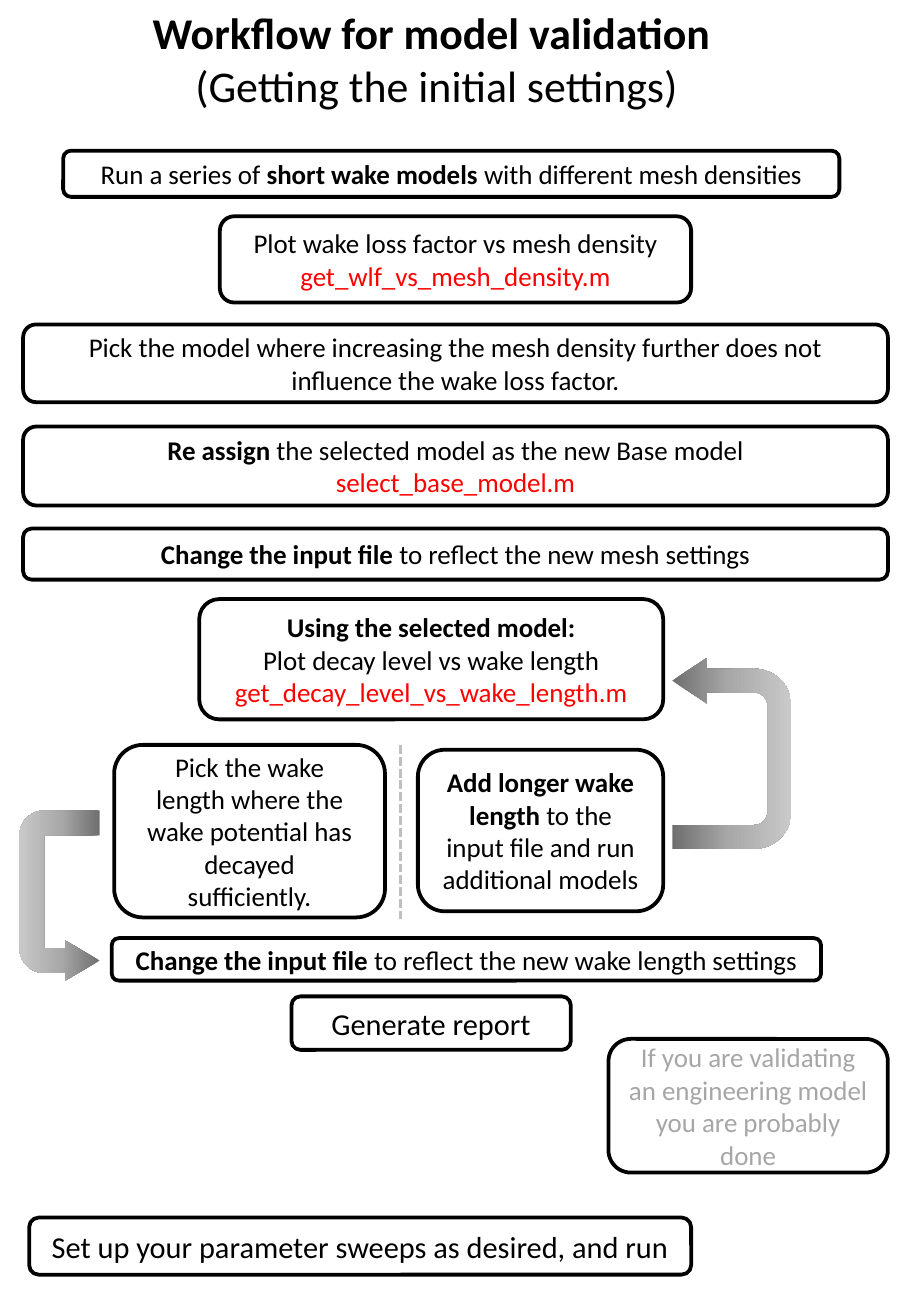
"""Build the model validation workflow slide."""
from lxml.etree import SubElement
from pptx import Presentation
from pptx.dml.color import RGBColor
from pptx.enum.dml import MSO_LINE
from pptx.enum.shapes import MSO_CONNECTOR, MSO_SHAPE
from pptx.enum.text import MSO_ANCHOR, MSO_AUTO_SIZE, PP_ALIGN
from pptx.oxml.ns import qn
from pptx.util import Inches, Pt

BLACK, RED, GRAY, PALE = "000000", "FF0000", "A6A6A6", "BFBFBF"
WIDE, NARROW = (0.14, 0.07), (0.1, 0.05)
PLAIN, BOLD, CODE, FAINT = (False, BLACK), (True, BLACK), (False, RED), (False, GRAY)

TITLE = [
    [("Workflow for model validation", BOLD)],
    [(" (Getting the initial settings)", PLAIN)],
]
BOXES = [
    ((0.52, 1.24, 6.39, 0.38), WIDE, 16, [[
        ("Run a series of ", PLAIN), ("short wake models ", BOLD),
        ("with different mesh densities", PLAIN)]]),
    ((1.81, 1.78, 3.88, 0.71), WIDE, 16, [
        [("Plot wake loss factor vs mesh density", PLAIN)],
        [("get_wlf_vs_mesh_density.m", CODE)]]),
    ((0.19, 2.67, 7.12, 0.64), WIDE, 16, [[
        ("Pick the model where increasing the mesh density further does not "
         "influence the wake loss factor.", PLAIN)]]),
    ((0.19, 3.51, 7.12, 0.65), WIDE, 16, [
        [("Re assign", BOLD), (" the selected model as the new Base model", PLAIN)],
        [("select_base_model.m", CODE)]]),
    ((0.19, 4.35, 7.12, 0.42), NARROW, 16, [[
        ("Change the input file ", BOLD), ("to reflect the new mesh settings", PLAIN)]]),
    ((1.64, 4.93, 3.82, 0.99), WIDE, 16, [
        [("Using the selected model:", BOLD)],
        [("Plot decay level vs wake length", PLAIN)],
        [("get_decay_level_vs_wake_length.m", CODE)]]),
    ((0.94, 6.13, 2.23, 1.42), WIDE, 16, [[
        ("Pick the wake length where the wake potential has decayed sufficiently.", PLAIN)]]),
    ((3.44, 6.17, 2.02, 1.33), NARROW, 16, [[
        ("Add longer wake length", BOLD),
        (" to the input file and run additional models", PLAIN)]]),
    ((0.92, 7.72, 5.84, 0.35), NARROW, 16, [[
        ("Change the input file ", BOLD),
        ("to reflect the new wake length settings", PLAIN)]]),
    ((2.4, 8.2, 2.3, 0.44), NARROW, 18, [[("Generate report", PLAIN)]]),
    ((5.01, 8.55, 2.3, 1.1), NARROW, 16, [[
        ("If you are validating an engineering model you are probably done", FAINT)]]),
    ((0.24, 10.02, 5.45, 0.47), NARROW, 18, [[
        ("Set up your parameter sweeps as desired, and run", PLAIN)]]),
]
TURNS = [
    ((5.24, 5.71, 1.57, 0.98), 90, (0.2, 0.19, 0.29, 0.31, 1)),
    ((-0.21, 7.04, 1.4, 0.66), 270, (0.31, 0.25, 0.43, 0.31, 1)),
]
SHADES = [(0, "6F6F6F"), (48, "A8A8A8"), (100, "C9C9C9")]
SPLIT = (3.3, 6.13, 3.3, 7.56)


def color(code):
    return RGBColor.from_string(code)


def write(frame, paras, size):
    frame.text = "\n" * (len(paras) - 1)
    for para, parts in zip(frame.paragraphs, paras):
        para.alignment = PP_ALIGN.CENTER
        for text, (bold, code) in parts:
            run = para.add_run()
            run.text = text
            font = run.font
            font.name, font.size, font.bold = "Calibri", Pt(size), bold
            font.color.rgb = color(code)


def add_box(slide, place, inset, size, paras):
    box = slide.shapes.add_shape(MSO_SHAPE.ROUNDED_RECTANGLE, *map(Inches, place))
    box.shadow.inherit = False
    box.fill.background()
    box.line.color.rgb = color(BLACK)
    box.line.width = Pt(2.25)
    frame = box.text_frame
    frame.word_wrap = True
    frame.vertical_anchor = MSO_ANCHOR.MIDDLE
    frame.margin_left = frame.margin_right = Inches(inset[0])
    frame.margin_top = frame.margin_bottom = Inches(inset[1])
    write(frame, paras, size)


def add_turn(slide, place, angle, adjusts):
    turn = slide.shapes.add_shape(MSO_SHAPE.U_TURN_ARROW, *map(Inches, place))
    turn.shadow.inherit = False
    turn.rotation = angle
    turn.line.fill.background()
    for i, value in enumerate(adjusts):
        turn.adjustments[i] = value
    props = turn._element.spPr
    props.find(qn("a:xfrm")).set("flipH", "1")
    turn.fill.gradient()
    grad = props.find(qn("a:gradFill"))
    stops = grad.find(qn("a:gsLst"))
    for old in list(stops):
        stops.remove(old)
    for spot, code in SHADES:
        stop = SubElement(stops, qn("a:gs"), pos=str(spot * 1000))
        SubElement(stop, qn("a:srgbClr"), val=code)
    grad.find(qn("a:lin")).set("ang", str(270 * 60000))


def add_split(slide):
    split = slide.shapes.add_connector(MSO_CONNECTOR.STRAIGHT, *map(Inches, SPLIT))
    split.line.color.rgb = color(PALE)
    split.line.width = Pt(1.75)
    split.line.dash_style = MSO_LINE.SQUARE_DOT
    SubElement(split._element.spPr, qn("a:effectLst"))


def main():
    deck = Presentation()
    deck.slide_width, deck.slide_height = Inches(7.5), Inches(10.83)
    slide = deck.slides.add_slide(deck.slide_layouts[5])
    title = slide.shapes.title
    title.left, title.top, title.width, title.height = map(Inches, (1.13, 0, 4.85, 0.98))
    frame = title.text_frame
    frame.word_wrap = False
    frame.auto_size = MSO_AUTO_SIZE.SHAPE_TO_FIT_TEXT
    frame.vertical_anchor = MSO_ANCHOR.TOP
    write(frame, TITLE, 26)
    for box in BOXES:
        add_box(slide, *box)
    for turn in TURNS:
        add_turn(slide, *turn)
    add_split(slide)
    deck.save("out.pptx")


if __name__ == "__main__":
    main()
